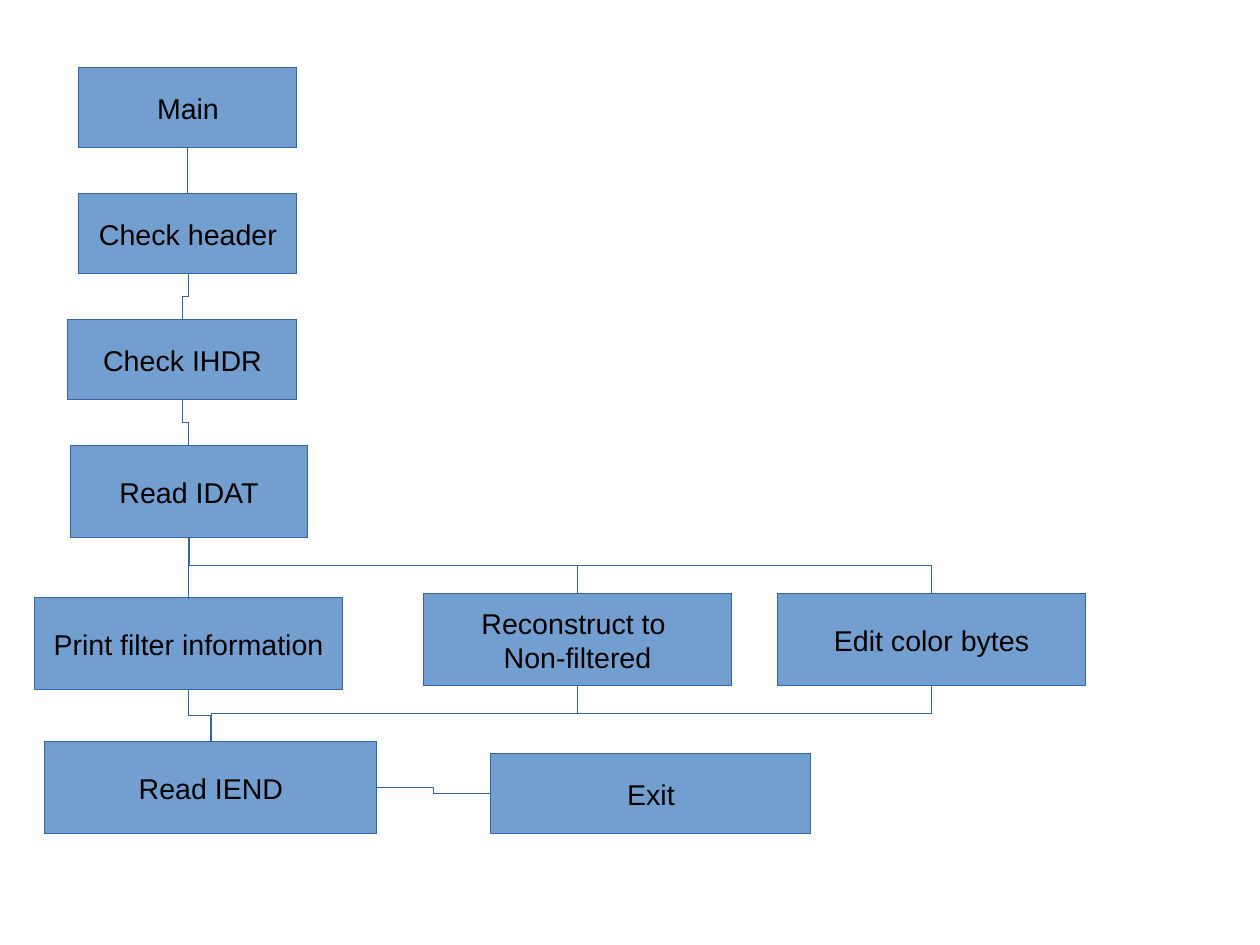
from dataclasses import dataclass

from pptx import Presentation
from pptx import util as u
from pptx.dml.color import RGBColor
from pptx.enum import shapes, text
from pptx.oxml.ns import qn
from lxml import etree

SCALE = 8000
TOP, LEFT, BOTTOM, RIGHT = range(4)


@dataclass(frozen=True)
class Theme:
    """Colours, type and hairline width of the flowchart."""
    fill: RGBColor = RGBColor.from_string("729FCF")
    line: RGBColor = RGBColor.from_string("3465A4")
    ink: RGBColor = RGBColor.from_string("000000")
    font: str = "Arial"
    size: int = 18
    hairline: int = 1


THEME = Theme()


def px(length):
    """Turn a length in px into EMU."""
    return u.Emu(length * SCALE)


def add_step(page, label, left, top, width, height):
    """Add one labelled rectangle."""
    step = page.shapes.add_shape(shapes.MSO_SHAPE.RECTANGLE, px(left), px(top), px(width), px(height))
    step.shadow.inherit = False
    step.fill.solid()
    step.fill.fore_color.rgb = THEME.fill
    step.line.color.rgb = THEME.line
    step.line.width = u.Emu(THEME.hairline)
    frame = step.text_frame
    frame.word_wrap = False
    frame.vertical_anchor = text.MSO_ANCHOR.MIDDLE
    frame.text = label
    for para in frame.paragraphs:
        para.alignment = text.PP_ALIGN.CENTER
        for span in para.runs:
            span.font.name = THEME.font
            span.font.size = u.Pt(THEME.size)
            span.font.color.rgb = THEME.ink
    return step


def join(page, start, end, start_side=BOTTOM, end_side=TOP):
    """Join two steps with a straight line or an elbow."""
    kind = shapes.MSO_CONNECTOR.ELBOW
    if start_side == BOTTOM and start.left + start.width // 2 == end.left + end.width // 2:
        kind = shapes.MSO_CONNECTOR.STRAIGHT
    line = page.shapes.add_connector(kind, 0, 0, 0, 0)
    line.begin_connect(start, start_side)
    line.end_connect(end, end_side)
    line.line.color.rgb = THEME.line
    line.line.width = u.Emu(THEME.hairline)
    etree.SubElement(line._element.spPr, qn("a:effectLst"))
    if kind == shapes.MSO_CONNECTOR.ELBOW and start_side == BOTTOM:
        turn_upright(line)


def turn_upright(line):
    """Turn an elbow so that it leaves and arrives vertically."""
    rightward = line.end_x > line.begin_x
    width, height = line.width, line.height
    center_x, center_y = line.left + width // 2, line.top + height // 2
    line.left, line.top = center_x - height // 2, center_y - width // 2
    line.width, line.height = height, width
    frame = line._element.spPr.find(qn("a:xfrm"))
    frame.set("rot", "16200000" if rightward else "5400000")
    frame.set("flipH", "1" if rightward else "0")


def draw_chain(page, left, top):
    """Draw the column of checks and return its last step."""
    pitch = 126
    rows = [("Main", 11, 218, 80), ("Check header", 11, 218, 80),
            ("Check IHDR", 0, 229, 80), ("Read IDAT", 2, 238, 92)]
    steps = [add_step(page, label, left + indent, top + row * pitch, width, height)
             for row, (label, indent, width, height) in enumerate(rows)]
    for upper, lower in zip(steps, steps[1:]):
        join(page, upper, lower)
    return steps[-1]


def draw_branches(page, left, top, source):
    """Draw the three parallel steps below their source."""
    width, height = 309, 92
    places = [("Print filter information", 0, 4),
              ("Reconstruct to \nNon-filtered", 389, 0),
              ("Edit color bytes", 743, 0)]
    branches = [add_step(page, label, left + across, top + down, width, height)
                for label, across, down in places]
    for branch in branches:
        join(page, source, branch)
    return branches


def draw_ending(page, left, top, branches):
    """Draw the closing steps that gather the branches."""
    read_end = add_step(page, "Read IEND", left, top, 332, 92)
    leave = add_step(page, "Exit", left + 446, top + 12, 320, 80)
    for branch in branches:
        join(page, branch, read_end)
    join(page, read_end, leave, RIGHT, LEFT)


def main():
    """Build and save the deck."""
    deck = Presentation()
    deck.slide_width, deck.slide_height = px(1260), px(945)
    page = deck.slides.add_slide(deck.slide_layouts[6])
    source = draw_chain(page, 68, 68)
    branches = draw_branches(page, 34, 594, source)
    draw_ending(page, 45, 742, branches)
    deck.save("out.pptx")


if __name__ == "__main__":
    main()
